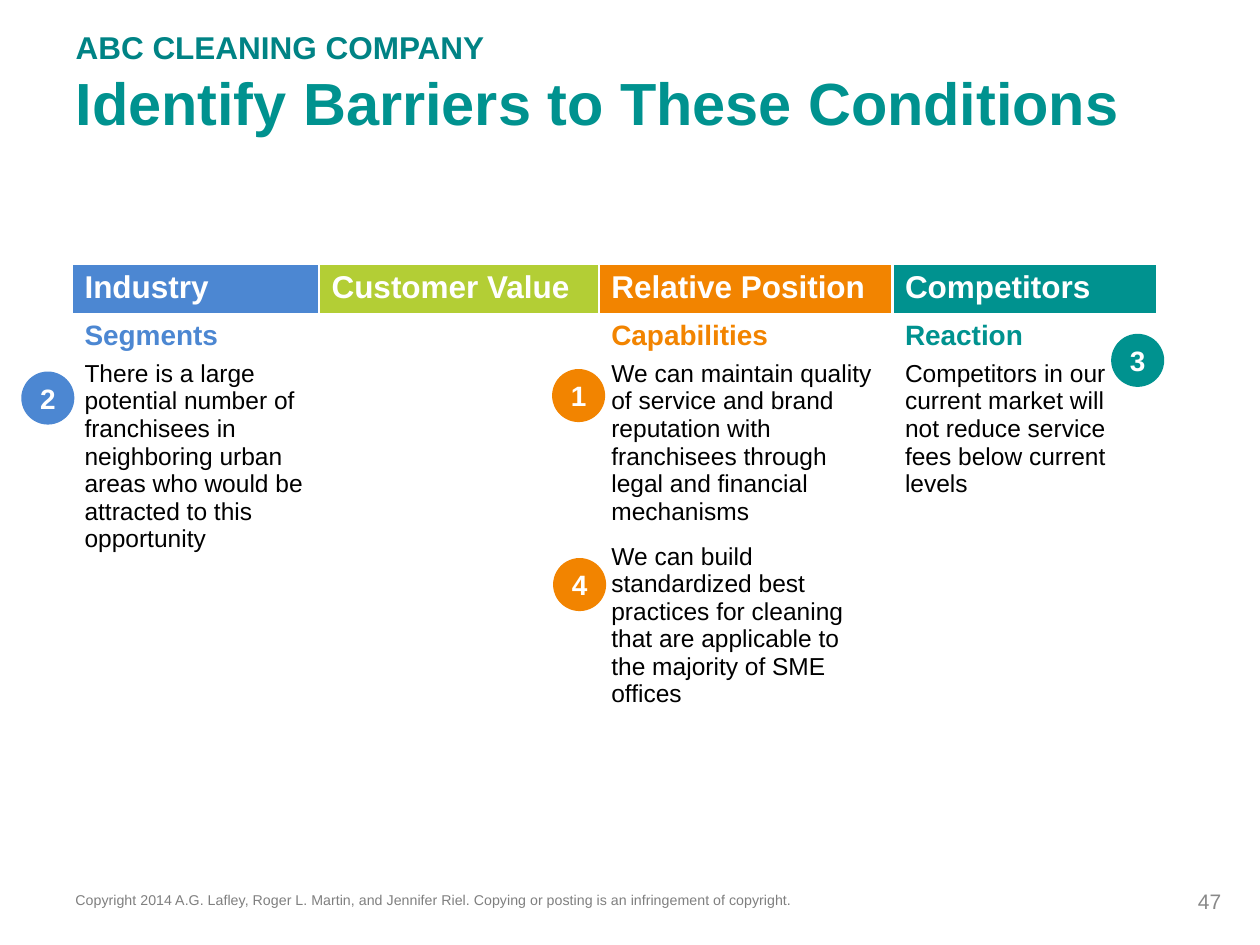
import pptx
import pptx.util
import pptx.dml.color
import pptx.enum.shapes
import pptx.enum.text
import pptx.oxml
import pptx.oxml.ns
from pptx.util import Cm

BLUE, GREEN, ORANGE, TEAL = "4C87D2", "B3CE35", "F28400", "00928F"
WHITE, BLACK = "FFFFFF", "000000"
PP_ALIGN = pptx.enum.text.PP_ALIGN
MIDDLE = pptx.enum.text.MSO_ANCHOR.MIDDLE


def rgb(value):
    return pptx.dml.color.RGBColor.from_string(value)


def add_run(p, text, size, color, bold=False):
    r = p.add_run()
    r.text = text
    font = {"name": "Arial", "size": pptx.util.Pt(size), "bold": bold}
    for key, value in font.items():
        setattr(r.font, key, value)
    r.font.color.rgb = rgb(color)
    return r


prs = pptx.Presentation()
prs.slide_width, prs.slide_height = Cm(25.4), Cm(19.05)
s = prs.slides.add_slide(prs.slide_layouts[5])

# Title with a small heading line above it
sp = s.shapes.title
box = {"left": Cm(1.27), "top": Cm(0.08), "width": Cm(22.07), "height": Cm(3.18)}
for key, value in box.items():
    setattr(sp, key, value)
tf = sp.text_frame
tf.auto_size = pptx.enum.text.MSO_AUTO_SIZE.NONE
tf.vertical_anchor = MIDDLE
p = tf.paragraphs[0]
p.alignment = PP_ALIGN.LEFT
add_run(p, "ABC CLEANING COMPANY", 18, "008385", True)
p.add_line_break()
add_run(p, "Identify Barriers to These Conditions", 34, TEAL, True)

# Conditions table: header, colour, width, subheading, barriers
columns = [
    ("Industry", BLUE, 4.98, "Segments", [
        "There is a large potential number of franchisees in neighboring urban "
        "areas who would be attracted to this opportunity"]),
    ("Customer Value", GREEN, 5.64, None, []),
    ("Relative Position", ORANGE, 5.92, "Capabilities", [
        "We can maintain quality of service and brand reputation with "
        "franchisees through legal and financial mechanisms",
        "We can build standardized best practices for cleaning that are "
        "applicable to the majority of SME offices"]),
    ("Competitors", TEAL, 5.33, "Reaction", [
        "Competitors in our current market will not reduce service fees "
        "below current levels"]),
]
table = s.shapes.add_table(2, 4, Cm(1.45), Cm(5.31), Cm(21.87), Cm(10.37)).table
table.horz_banding = False
table.rows[0].height, table.rows[1].height = Cm(1.02), Cm(9.35)

for i, (header, color, width, subheading, barriers) in enumerate(columns):
    table.columns[i].width = Cm(width)
    head, body = table.cell(0, i), table.cell(1, i)

    # White cell borders, thinner around the body except on top
    for cell, thin in ((head, 1.47), (body, 0.45)):
        for side in ("lnL", "lnR", "lnT", "lnB"):
            weight = pptx.util.Pt(1.47 if side == "lnT" else thin)
            cell._tc.get_or_add_tcPr().append(pptx.oxml.parse_xml(
                f'<a:{side} {pptx.oxml.ns.nsdecls("a")} w="{weight}">'
                f'<a:solidFill><a:srgbClr val="{WHITE}"/></a:solidFill></a:{side}>'))

    head.fill.solid()
    head.fill.fore_color.rgb = rgb(color)
    body.fill.background()
    add_run(head.text_frame.paragraphs[0], header, 18, WHITE, True)
    if subheading:
        add_run(body.text_frame.paragraphs[0], subheading, 16, color, True)
    for n, text in enumerate(barriers):
        p = body.text_frame.add_paragraph()
        p.space_before = pptx.util.Pt(10 if n else 5)
        add_run(p, text, 14, BLACK)

# Numbered badges
badges = [("2", 0.43, 7.49, BLUE), ("1", 11.13, 7.44, ORANGE),
          ("4", 11.15, 11.25, ORANGE), ("3", 22.4, 6.73, TEAL)]
for number, left, top, color in badges:
    sp = s.shapes.add_shape(pptx.enum.shapes.MSO_SHAPE.OVAL,
                            Cm(left), Cm(top), Cm(1.07), Cm(1.07))
    sp.shadow.inherit = False
    sp.fill.solid()
    sp.fill.fore_color.rgb = rgb(color)
    sp.line.fill.background()
    tf = sp.text_frame
    tf.margin_left = tf.margin_right = tf.margin_top = tf.margin_bottom = 0
    tf.vertical_anchor = MIDDLE
    tf.paragraphs[0].alignment = PP_ALIGN.CENTER
    add_run(tf.paragraphs[0], number, 16, WHITE, True)

# Copyright line, set as superscript
tf = s.shapes.add_textbox(Cm(1.27), Cm(17.78), Cm(18.72), Cm(0.86)).text_frame
tf.word_wrap = True
r = add_run(tf.paragraphs[0], "Copyright 2014 A.G. Lafley, Roger L. Martin, and Jennifer Riel. "
            "Copying or posting is an infringement of copyright.", 14, "7F7F7F")
r.font._element.set("baseline", "30000")

# Page number
tf = s.shapes.add_textbox(Cm(18.95), Cm(17.65), Cm(5.92), Cm(1.02)).text_frame
tf.word_wrap = True
tf.vertical_anchor = MIDDLE
tf.paragraphs[0].alignment = PP_ALIGN.RIGHT
add_run(tf.paragraphs[0], "47", 12, "898989")

prs.save("out.pptx")
